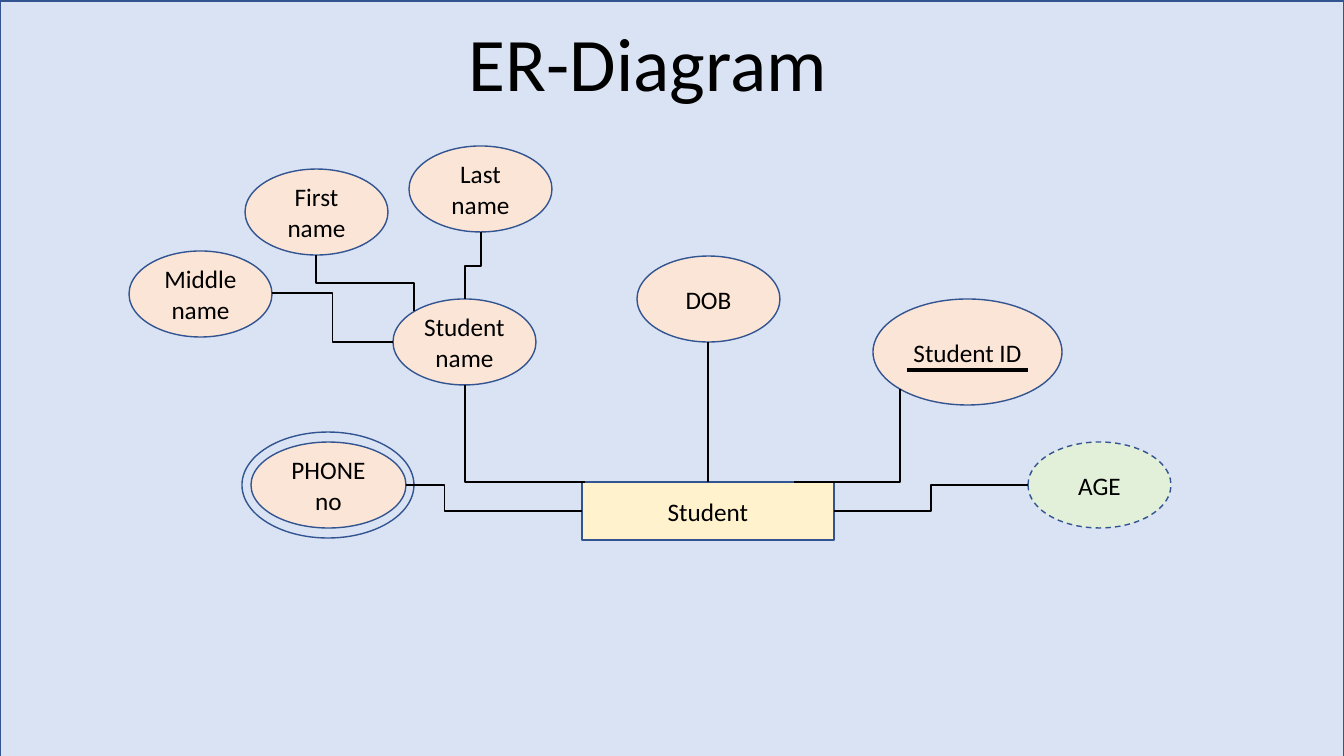
from pptx import Presentation
from pptx.dml.color import RGBColor
from pptx.enum.dml import MSO_LINE
from pptx.enum.shapes import MSO_CONNECTOR, MSO_SHAPE
from pptx.enum.text import MSO_ANCHOR, PP_ALIGN
from pptx.oxml.ns import qn
from pptx.util import Pt
from lxml.etree import SubElement

PX = 914400 / 100.8
COLORS = {k: RGBColor.from_string(v) for k, v in {
    "back": "DAE3F3", "edge": "325491", "entity": "FFF2CC",
    "attr": "FBE5D6", "derived": "E2F0D9", "ink": "000000"}.items()}

deck = Presentation()
deck.slide_width, deck.slide_height = round(1344 * PX), round(756 * PX)
shapes = deck.slides.add_slide(deck.slide_layouts[6]).shapes


def write(shape, text, size=18, wrap=True):
    frame = shape.text_frame
    frame.word_wrap = wrap
    frame.vertical_anchor = MSO_ANCHOR.MIDDLE
    para = frame.paragraphs[0]
    para.alignment = PP_ALIGN.CENTER
    run = para.add_run()
    run.text = text
    run.font.name, run.font.size = "Calibri", Pt(size)
    run.font.color.rgb = COLORS["ink"]


def link(kind, *ends, width=1):
    line = shapes.add_connector(kind, *[round(v * PX) for v in ends])
    line.line.color.rgb = COLORS["ink"]
    line.line.width = Pt(width)
    SubElement(line._element.spPr, qn("a:effectLst"))
    return line


# Backdrop, entity and attributes
nodes = {}
for name, text, box, fill in [
    ("back", "", (0, 1, 1344, 756), "back"),
    ("student", "Student", (582, 482, 252, 58), "entity"),
    ("name", "Student name", (393, 299, 143, 86), "attr"),
    ("dob", "DOB", (637, 256, 143, 86), "attr"),
    ("id", "Student ID", (873, 299, 189, 106), "attr"),
    ("phone", "PHONE no", (251, 442, 155, 86), "attr"),
    ("ring", "", (242, 432, 172, 106), None),
    ("age", "AGE", (1028, 442, 143, 86), "derived"),
    ("first", "First name", (245, 169, 143, 86), "attr"),
    ("last", "Last name", (409, 146, 143, 86), "attr"),
    ("middle", "Middle name", (129, 251, 143, 86), "attr"),
]:
    kind = MSO_SHAPE.RECTANGLE if name in ("back", "student") else MSO_SHAPE.OVAL
    node = shapes.add_shape(kind, *[round(v * PX) for v in box])
    node.shadow.inherit = False
    node.line.color.rgb = COLORS["edge"]
    node.line.width = Pt(1)
    if fill:
        node.fill.solid()
        node.fill.fore_color.rgb = COLORS[fill]
    else:
        node.fill.background()
    if text:
        write(node, text)
    nodes[name] = node
nodes["age"].line.dash_style = MSO_LINE.DASH

# Key underline and straight link
link(MSO_CONNECTOR.STRAIGHT, 907, 370, 1028, 370, width=2.25)
stem = link(MSO_CONNECTOR.STRAIGHT, 708, 342, 708, 482)
stem.end_connect(nodes["student"], 0)

# Elbow links that leave sideways, with the turn as a share of the run
for ends, turn in [
    ((272, 293, 393, 342), 50000),
    ((1028, 485, 834, 511), 50000),
    ((406, 485, 582, 511), 21800),
]:
    elbow = link(MSO_CONNECTOR.ELBOW, *ends)
    guides = elbow._element.spPr.find(qn("a:prstGeom")).find(qn("a:avLst"))
    SubElement(guides, qn("a:gd"), name="adj1", fmla=f"val {turn}")

# Bent links that leave downwards
for start, *rest in [
    [(316, 255), (316, 283), (414, 283), (414, 311)],
    [(481, 232), (481, 266), (465, 266), (465, 299)],
    [(465, 385), (465, 482), (585, 482)],
    [(900, 389), (900, 482), (794, 482)],
]:
    pen = shapes.build_freeform(*start, scale=PX)
    pen.add_line_segments(rest, close=False)
    bend = pen.convert_to_shape()
    bend.shadow.inherit = False
    bend.fill.background()
    bend.line.color.rgb = COLORS["ink"]
    bend.line.width = Pt(1)

# Title
title = shapes.add_textbox(*[round(v * PX) for v in (457, 10, 382, 102)])
write(title, "ER-Diagram", size=54, wrap=False)

deck.save("out.pptx")
